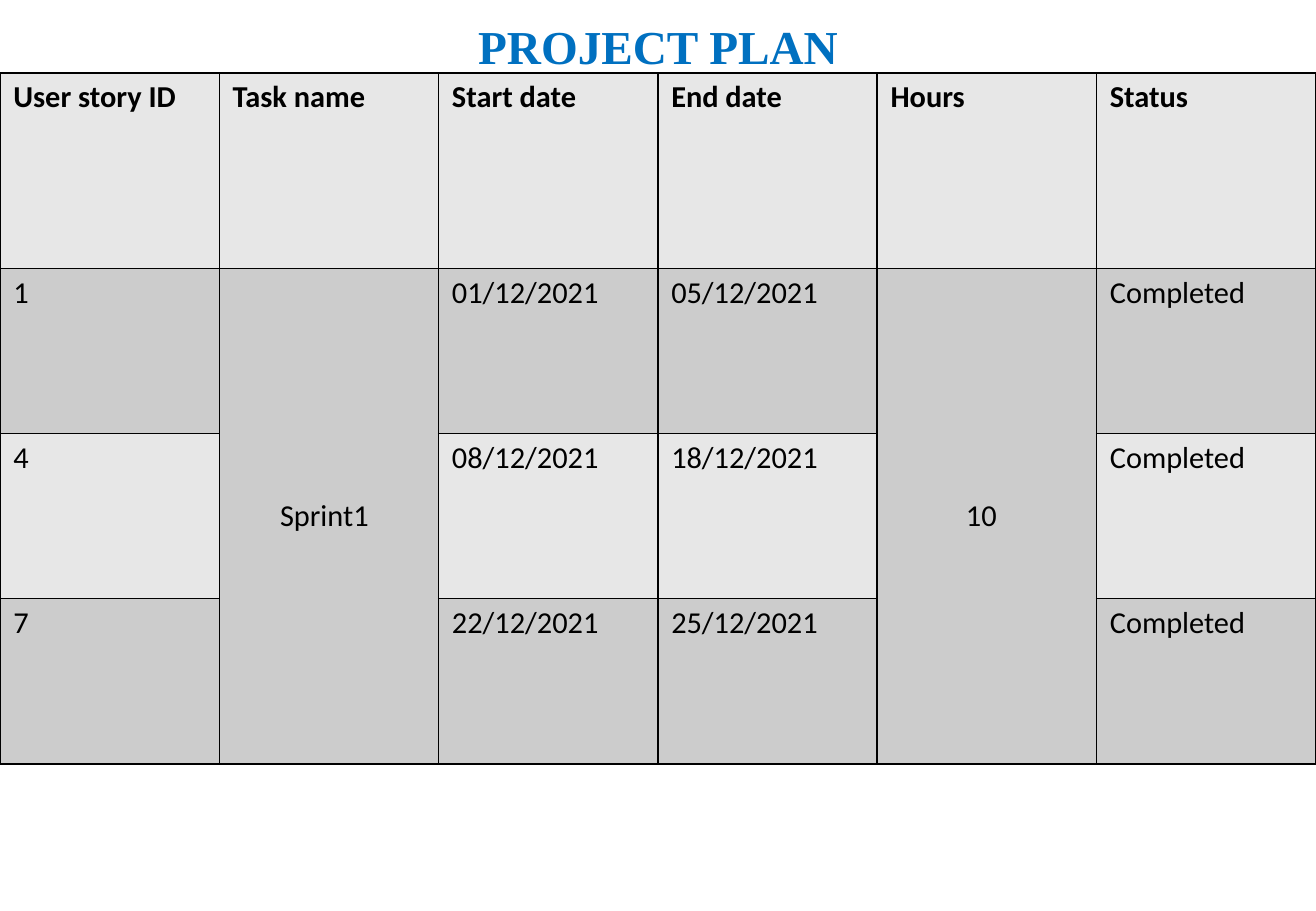
from lxml import etree
from pptx import Presentation
from pptx import util as u
from pptx.dml.color import RGBColor
from pptx.enum import text
from pptx.oxml.ns import qn

BLUE = RGBColor(0x00, 0x70, 0xC0)
BLACK = RGBColor(0x00, 0x00, 0x00)
LIGHT = RGBColor(0xE7, 0xE7, 0xE7)
DARK = RGBColor(0xCC, 0xCC, 0xCC)

WIDTH, HEIGHT = 10.83, 7.5
HEADINGS = ["User story ID", "Task name", "Start date", "End date", "Hours", "Status"]
TASKS = [
    ["1", "Sprint1", "01/12/2021", "05/12/2021", "10", "Completed"],
    ["4", "", "08/12/2021", "18/12/2021", "", "Completed"],
    ["7", "", "22/12/2021", "25/12/2021", "", "Completed"],
]
ROW_HEIGHTS = [1.61, 1.36, 1.36, 1.36]
# Columns whose task rows form one cell, with the left inset of its text
SPRINT_INSETS = {1: 0.5, 4: 0.73}


class PlanSlide:
    def __init__(self, slide):
        self.slide = slide
        self.title_font = "Times New Roman"
        self.body_font = "Calibri"

    def style(self, frame, font, size, colour, bold):
        for run in frame.paragraphs[0].runs:
            run.font.name = font
            run.font.size = u.Pt(size)
            run.font.color.rgb = colour
            run.font.bold = bold

    def title(self, wording, left, top, width, height):
        box = self.slide.shapes.add_textbox(*map(u.Inches, (left, top, width, height)))
        frame = box.text_frame
        frame.word_wrap = True
        frame.vertical_anchor = text.MSO_ANCHOR.MIDDLE
        frame.text = wording
        frame.paragraphs[0].alignment = text.PP_ALIGN.CENTER
        self.style(frame, self.title_font, 28, BLUE, True)

    def border(self, cell):
        props = cell._tc.get_or_add_tcPr()
        for position, side in enumerate(("a:lnL", "a:lnR", "a:lnT", "a:lnB")):
            line = etree.Element(qn(side), w=str(u.Pt(1)))
            fill = etree.SubElement(line, qn("a:solidFill"))
            etree.SubElement(fill, qn("a:srgbClr"), val=str(BLACK))
            props.insert(position, line)

    def table(self, rows, left, top, width, row_heights):
        plan = self.slide.shapes.add_table(
            len(rows), len(rows[0]), u.Inches(left), u.Inches(top),
            u.Inches(width), u.Inches(sum(row_heights))).table
        for row, height in zip(plan.rows, row_heights):
            row.height = u.Inches(height)
        for r, values in enumerate(rows):
            for c, value in enumerate(values):
                cell = plan.cell(r, c)
                cell.margin_left = cell.margin_right = u.Inches(0.11)
                cell.margin_top = cell.margin_bottom = u.Inches(0.05)
                cell.fill.solid()
                cell.fill.fore_color.rgb = DARK if r % 2 else LIGHT
                self.border(cell)
                cell.text_frame.text = value
                self.style(cell.text_frame, self.body_font, 18, BLACK, r == 0)
        return plan

    def merge_down(self, plan, column, inset):
        cell = plan.cell(1, column)
        cell.merge(plan.cell(len(plan.rows) - 1, column))
        cell.vertical_anchor = text.MSO_ANCHOR.MIDDLE
        cell.margin_left = u.Inches(inset)


def main():
    deck = Presentation()
    deck.slide_width, deck.slide_height = u.Inches(WIDTH), u.Inches(HEIGHT)
    page = PlanSlide(deck.slides.add_slide(deck.slide_layouts[6]))

    # Heading
    page.title("PROJECT PLAN", 0.54, 0, 9.75, 0.76)

    # Sprint schedule
    plan = page.table([HEADINGS] + TASKS, 0, 0.6, WIDTH, ROW_HEIGHTS)
    for column, inset in SPRINT_INSETS.items():
        page.merge_down(plan, column, inset)

    deck.save("out.pptx")


if __name__ == "__main__":
    main()
